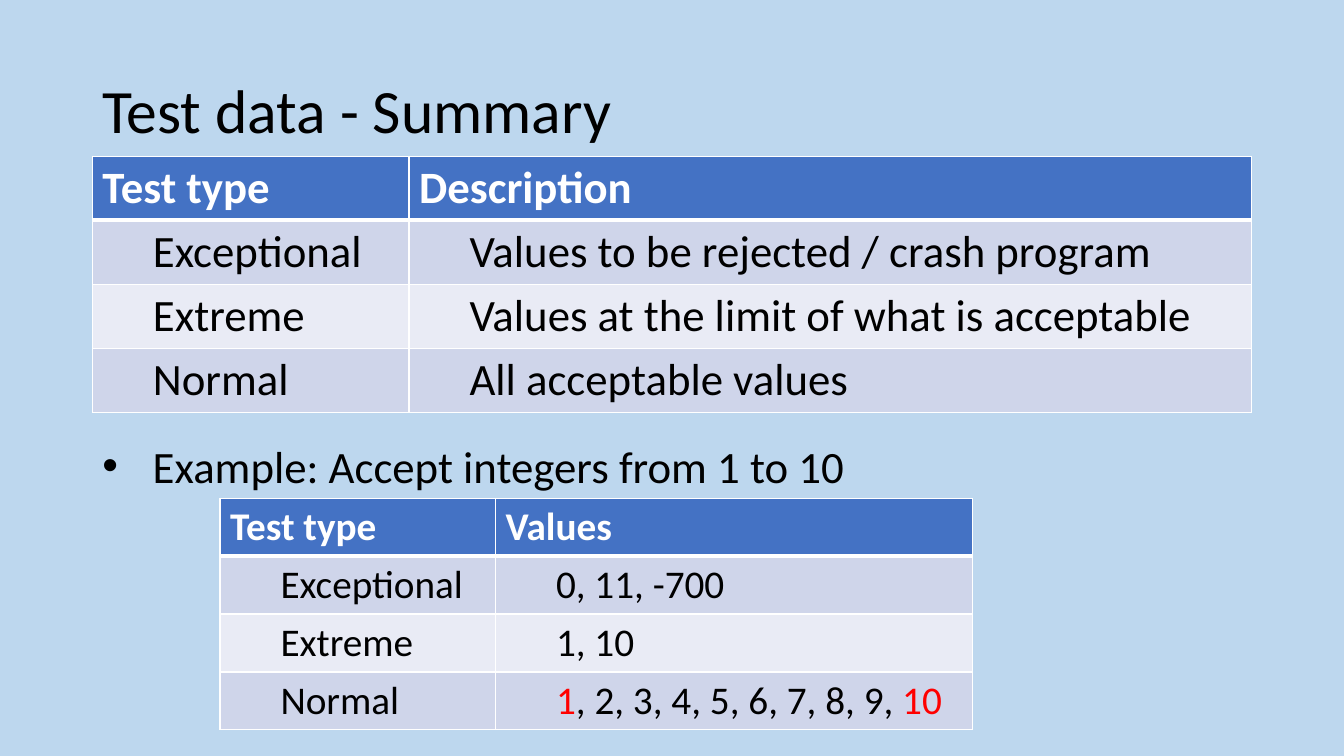
from lxml.etree import SubElement as Sub
from pptx import Presentation
from pptx.dml.color import RGBColor
from pptx.enum.text import MSO_ANCHOR as Anchor
from pptx.oxml.ns import qn
from pptx.util import Inches, Pt

BLACK, WHITE, RED = "000000", "FFFFFF", "FF0000"
HEADER, BANDS = "4472C4", ("CFD5EA", "E9EBF5")
INDENT = Inches(0.5)


def color(value):
    return RGBColor.from_string(value)


class Deck:
    """One slide on a grid of 160 columns by 90 rows."""

    def __init__(self, font, background):
        self.prs = Presentation()
        self.prs.slide_width, self.prs.slide_height = Inches(13.33), Inches(7.5)
        self.font = font
        self.s = self.prs.slides.add_slide(self.prs.slide_layouts[6])
        self.s.background.fill.solid()
        self.s.background.fill.fore_color.rgb = color(background)

    def x(self, columns):
        return round(self.prs.slide_width * columns / 160)

    def y(self, rows):
        return round(self.prs.slide_height * rows / 90)

    def add_runs(self, p, parts, size, bold=False):
        """Add (text, colour) parts to a paragraph as runs."""
        for text, tint in parts:
            r = p.add_run()
            r.text = text
            r.font.name, r.font.size, r.font.bold = self.font, Pt(size), bold
            r.font.color.rgb = color(tint)

    def text(self, box, text, size, anchor=Anchor.TOP, bullet=False):
        left, top, width, height = box
        sp = self.s.shapes.add_textbox(self.x(left), self.y(top), self.x(width), self.y(height))
        tf = sp.text_frame
        tf.word_wrap, tf.vertical_anchor = True, anchor
        p = tf.paragraphs[0]
        self.add_runs(p, [(text, BLACK)], size)
        if bullet:
            pPr = p._p.get_or_add_pPr()
            pPr.set("marL", str(INDENT))
            pPr.set("indent", str(-INDENT))
            Sub(pPr, qn("a:buFont"), typeface="Arial")
            Sub(pPr, qn("a:buChar"), char="•")
        return p

    def borders(self, cell, top, bottom):
        """Draw white cell borders, with top and bottom widths in points."""
        tcPr = cell._tc.get_or_add_tcPr()
        for side, width in (("L", 1), ("R", 1), ("T", top), ("B", bottom)):
            ln = Sub(tcPr, qn(f"a:ln{side}"), w=str(Pt(width)))
            Sub(Sub(ln, qn("a:solidFill")), qn("a:srgbClr"), val=WHITE)

    def table(self, left, top, widths, row_height, size, rows):
        frame = self.s.shapes.add_table(
            len(rows), len(widths), self.x(left), self.y(top),
            self.x(sum(widths)), self.y(row_height * len(rows)))
        for column, width in zip(frame.table.columns, widths):
            column.width = self.x(width)
        for i, row in enumerate(rows):
            frame.table.rows[i].height = self.y(row_height)
            header = i == 0
            for j, content in enumerate(row):
                cell = frame.table.cell(i, j)
                self.borders(cell, 3 if i == 1 else 1, 3 if header else 1)
                cell.fill.solid()
                cell.fill.fore_color.rgb = color(HEADER if header else BANDS[(i - 1) % 2])
                p = cell.text_frame.paragraphs[0]
                if not header:
                    p.level = 1
                    p._p.get_or_add_pPr().set("marL", str(INDENT))
                if isinstance(content, str):
                    content = [(content, WHITE if header else BLACK)]
                self.add_runs(p, content, size, bold=header)


def main():
    deck = Deck("Calibri", "BDD7EE")
    title = deck.text((11, 4.8, 138, 17.4), "Test data - Summary", 44, Anchor.MIDDLE)
    title.line_spacing = 0.9
    deck.table(26.2, 59.3, (32.8, 56.8), 6.9, 28, [
        ("Test type", "Values"),
        ("Exceptional", "0, 11, -700"),
        ("Extreme", "1, 10"),
        ("Normal", [("1", RED), (", 2, 3, 4, 5, 6, 7, 8, 9,", BLACK), (" 10", RED)]),
    ])
    deck.text((11, 51.6, 95.8, 7.7), "Example: Accept integers from 1 to 10", 32, bullet=True)
    deck.table(11, 18.6, (37.7, 100.3), 7.62, 32, [
        ("Test type", "Description"),
        ("Exceptional", "Values to be rejected / crash program"),
        ("Extreme", "Values at the limit of what is acceptable"),
        ("Normal", "All acceptable values"),
    ])
    deck.prs.save("out.pptx")


if __name__ == "__main__":
    main()
